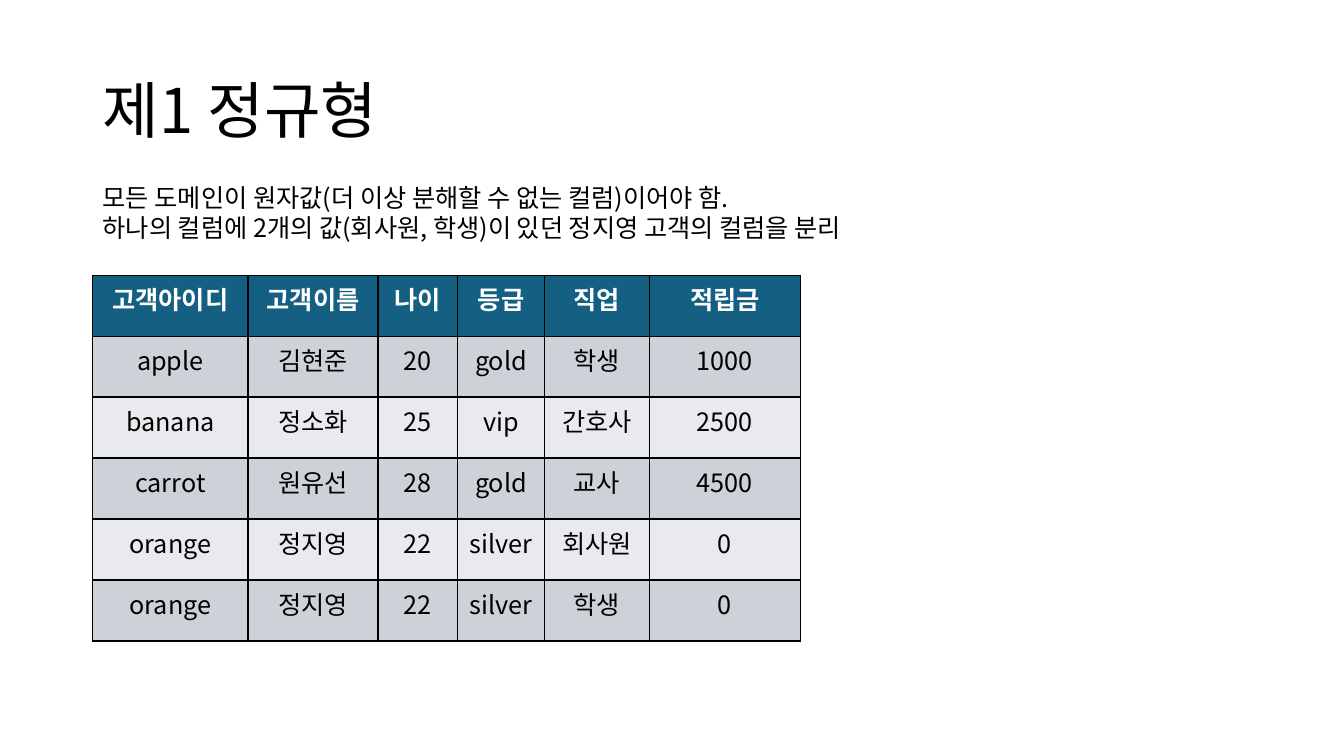
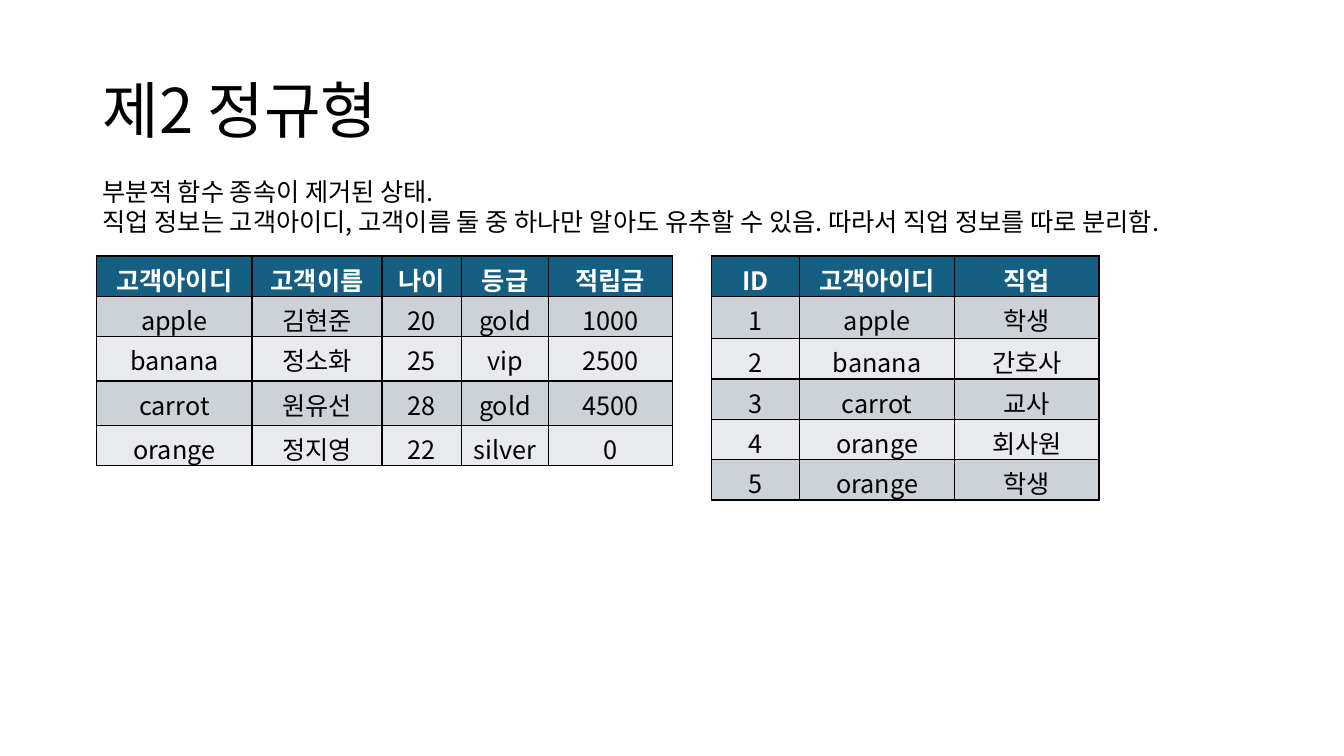
from lxml import etree
from pptx import Presentation
from pptx.dml.color import RGBColor
from pptx.enum.text import MSO_ANCHOR, MSO_AUTO_SIZE, PP_ALIGN
from pptx.oxml.ns import qn
from pptx.util import Inches, Pt

# Shared style
FONT = "Noto Sans CJK KR"
BLACK = RGBColor(0x00, 0x00, 0x00)
WHITE = RGBColor(0xFF, 0xFF, 0xFF)
HEADER = RGBColor(0x15, 0x60, 0x82)
BAND_DARK = RGBColor(0xCC, 0xD2, 0xD8)
BAND_LIGHT = RGBColor(0xE8, 0xEA, 0xED)
LEFT, CENTER = PP_ALIGN.LEFT, PP_ALIGN.CENTER
MIDDLE = MSO_ANCHOR.MIDDLE
NO_AUTOFIT = MSO_AUTO_SIZE.NONE
TITLE_ONLY = 5
MARGIN = 0.92

# Column widths shared by the customer tables: id, name, age, grade
CUSTOMER_COLS = [1.54, 1.29, 0.79, 0.86]

FIRST_FORM = [
    ["고객아이디", "고객이름", "나이", "등급", "직업", "적립금"],
    ["apple", "김현준", "20", "gold", "학생", "1000"],
    ["banana", "정소화", "25", "vip", "간호사", "2500"],
    ["carrot", "원유선", "28", "gold", "교사", "4500"],
    ["orange", "정지영", "22", "silver", "회사원", "0"],
    ["orange", "정지영", "22", "silver", "학생", "0"],
]
CUSTOMERS = [
    ["고객아이디", "고객이름", "나이", "등급", "적립금"],
    ["apple", "김현준", "20", "gold", "1000"],
    ["banana", "정소화", "25", "vip", "2500"],
    ["carrot", "원유선", "28", "gold", "4500"],
    ["orange", "정지영", "22", "silver", "0"],
]
JOBS = [
    ["ID", "고객아이디", "직업"],
    ["1", "apple", "학생"],
    ["2", "banana", "간호사"],
    ["3", "carrot", "교사"],
    ["4", "orange", "회사원"],
    ["5", "orange", "학생"],
]


def add_run(p, text, size=18, color=BLACK, bold=False):
    r = p.add_run()
    r.text = text
    r.font.size = Pt(size)
    r.font.name = FONT
    r.font.bold = bold
    r.font.color.rgb = color
    ea = etree.SubElement(r.font._element, qn("a:ea"))
    ea.set("typeface", FONT)


def add_titled_slide(prs, title):
    s = prs.slides.add_slide(prs.slide_layouts[TITLE_ONLY])
    sp = s.shapes.title
    sp.left, sp.top = Inches(MARGIN), Inches(0.4)
    sp.width, sp.height = Inches(11.5), Inches(1.45)
    tf = sp.text_frame
    tf.auto_size = NO_AUTOFIT
    tf.vertical_anchor = MIDDLE
    p = tf.paragraphs[0]
    p.alignment = LEFT
    p.line_spacing = 0.9
    add_run(p, title, size=44)
    return s


def add_explanation(s, top, width, lines):
    sp = s.shapes.add_textbox(Inches(MARGIN), Inches(top), Inches(width), Inches(0.71))
    tf = sp.text_frame
    tf.word_wrap = True
    for i, line in enumerate(lines):
        p = tf.add_paragraph() if i else tf.paragraphs[0]
        p.line_spacing = Pt(22)
        add_run(p, line)


def add_borders(cell):
    tc_pr = cell._tc.get_or_add_tcPr()
    # Border lines come before the fill in a cell's properties
    for i, side in enumerate(("a:lnL", "a:lnR", "a:lnT", "a:lnB")):
        ln = etree.Element(qn(side), w=str(Pt(1)))
        fill = etree.SubElement(ln, qn("a:solidFill"))
        etree.SubElement(fill, qn("a:srgbClr"), val=str(BLACK))
        tc_pr.insert(i, ln)


def add_grid(s, left, top, col_widths, row_heights, rows):
    frame = s.shapes.add_table(
        len(rows), len(col_widths), Inches(left), Inches(top),
        Inches(sum(col_widths)), Inches(sum(row_heights)))
    table = frame.table
    for col, width in zip(table.columns, col_widths):
        col.width = Inches(width)
    for i, (values, height) in enumerate(zip(rows, row_heights)):
        table.rows[i].height = Inches(height)
        is_header = i == 0
        band = HEADER if is_header else (BAND_LIGHT, BAND_DARK)[i % 2]
        for cell, value in zip(table.rows[i].cells, values):
            cell.fill.solid()
            cell.fill.fore_color.rgb = band
            cell.margin_bottom = 0
            add_borders(cell)
            p = cell.text_frame.paragraphs[0]
            p.alignment = CENTER
            add_run(p, value, color=WHITE if is_header else BLACK, bold=is_header)


def main():
    prs = Presentation()
    prs.slide_width, prs.slide_height = Inches(13.33), Inches(7.5)

    # First normal form
    s = add_titled_slide(prs, "제1 정규형")
    add_grid(s, MARGIN, 2.73, CUSTOMER_COLS + [1.04, 1.5],
             [3.63 / len(FIRST_FORM)] * len(FIRST_FORM), FIRST_FORM)
    add_explanation(s, 1.75, 8.42, [
        "모든 도메인이 원자값(더 이상 분해할 수 없는 컬럼)이어야 함.",
        "하나의 컬럼에 2개의 값(회사원, 학생)이 있던 정지영 고객의 컬럼을 분리",
    ])

    # Second normal form
    s = add_titled_slide(prs, "제2 정규형")
    add_explanation(s, 1.69, 12.09, [
        "부분적 함수 종속이 제거된 상태.",
        "직업 정보는 고객아이디, 고객이름 둘 중 하나만 알아도 유추할 수 있음. "
        "따라서 직업 정보를 따로 분리함.",
    ])
    add_grid(s, 0.96, 2.54, CUSTOMER_COLS + [1.23],
             [0.4, 0.4, 0.44, 0.44, 0.4], CUSTOMERS)
    add_grid(s, 7.06, 2.54, [0.87, 1.54, 1.43],
             [0.4, 0.42, 0.4, 0.4, 0.4, 0.4], JOBS)

    prs.save("out.pptx")


if __name__ == "__main__":
    main()
